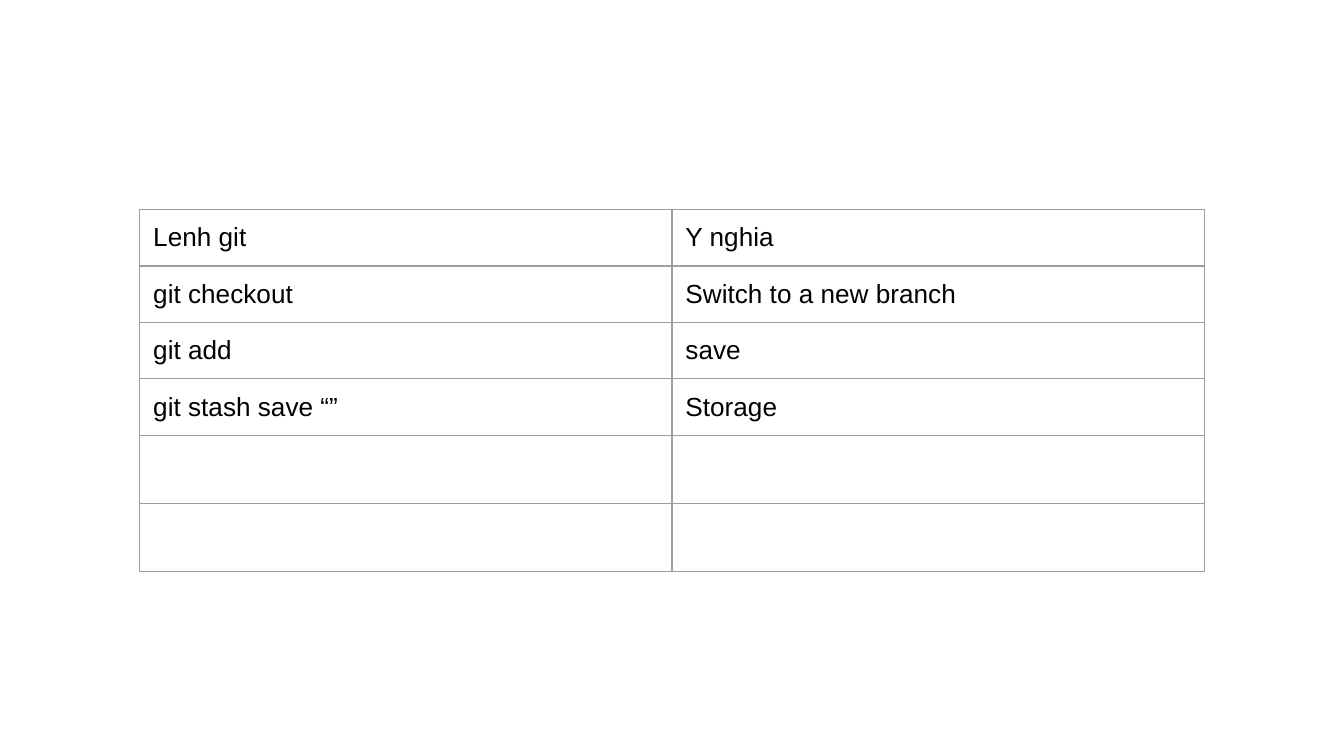
from typing import NamedTuple

from lxml import etree
from pptx import Presentation
from pptx import util as u
from pptx.dml.color import RGBColor
from pptx.oxml.ns import qn


class Command(NamedTuple):
    name: str = ""
    meaning: str = ""


ROWS = [
    Command("Lenh git", "Y nghia"),
    Command("git checkout", "Switch to a new branch"),
    Command("git add", "save"),
    Command("git stash save “”", "Storage"),
    Command(),
    Command(),
]
COLUMN_WIDTH = 3.96
ROW_HEIGHT = 0.42  # rows grow to fit their text
BORDER_COLOR = "9E9E9E"
TEXT_COLOR = "000000"


def color(value: str) -> RGBColor:
    return RGBColor.from_string(value)


def add_borders(cell) -> None:
    """Draw a thin line on all four sides of a cell."""
    properties = cell._tc.get_or_add_tcPr()
    for index, side in enumerate(("a:lnL", "a:lnR", "a:lnT", "a:lnB")):
        line = etree.Element(qn(side), w=str(u.Pt(0.75)))
        fill = etree.SubElement(line, qn("a:solidFill"))
        etree.SubElement(fill, qn("a:srgbClr"), val=BORDER_COLOR)
        properties.insert(index, line)


def format_cell(cell, content: str) -> None:
    cell.fill.background()
    add_borders(cell)
    cell.margin_left = cell.margin_right = u.Inches(0.1)
    cell.margin_top = cell.margin_bottom = u.Inches(0.1)
    cell.text_frame.text = content
    for run in cell.text_frame.paragraphs[0].runs:
        run.font.name = "Arial"
        run.font.size = u.Pt(14)
        run.font.color.rgb = color(TEXT_COLOR)


def add_command_table(slide, left: float, top: float) -> None:
    table = slide.shapes.add_table(
        len(ROWS), 2, u.Inches(left), u.Inches(top),
        u.Inches(2 * COLUMN_WIDTH), u.Inches(len(ROWS) * ROW_HEIGHT),
    ).table
    table.first_row = False
    table.horz_banding = False
    for row, command in zip(table.rows, ROWS):
        row.height = u.Inches(ROW_HEIGHT)
        for cell, content in zip(row.cells, command):
            format_cell(cell, content)


def main() -> None:
    # Widescreen page, 16:9
    presentation = Presentation()
    presentation.slide_width = u.Inches(10)
    presentation.slide_height = u.Inches(10 * 9 / 16)

    # Blank layout: the slide has no title
    slide = presentation.slides.add_slide(presentation.slide_layouts[6])

    # Git commands and their meanings
    add_command_table(slide, left=1.04, top=1.56)
    presentation.save("out.pptx")


if __name__ == "__main__":
    main()
